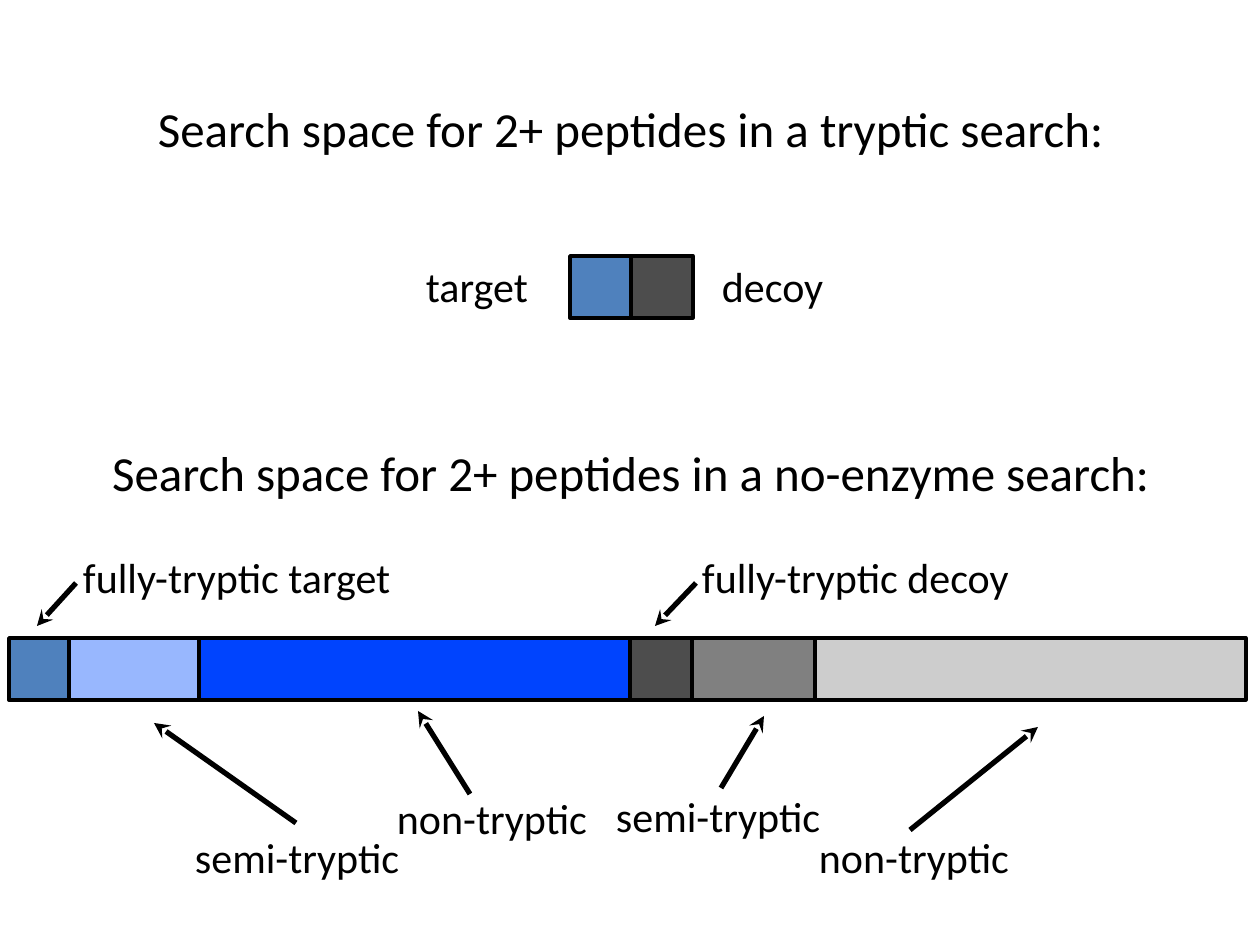
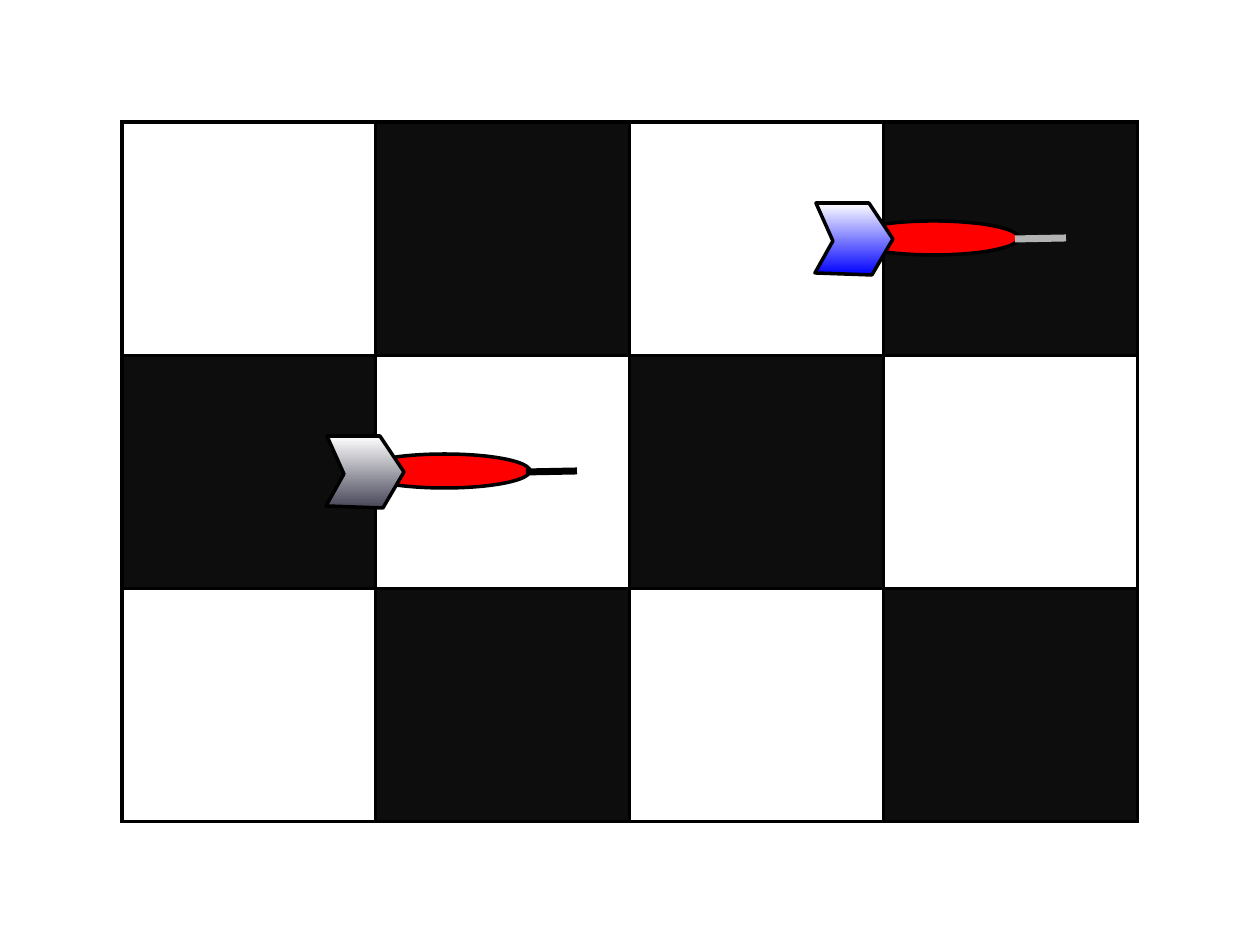
import lxml.etree
import pptx
import pptx.dml.color
import pptx.enum.shapes
import pptx.enum.text
import pptx.oxml
import pptx.oxml.ns
import pptx.util

RGBColor = pptx.dml.color.RGBColor
ANCHOR = pptx.enum.text.MSO_ANCHOR
ALIGN = pptx.enum.text.PP_ALIGN
AUTO_SIZE = pptx.enum.text.MSO_AUTO_SIZE
SHAPE = pptx.enum.shapes.MSO_SHAPE
STRAIGHT = pptx.enum.shapes.MSO_CONNECTOR.STRAIGHT
qn = pptx.oxml.ns.qn

# Shared look
PX = 914400 / 126
SLIDE_SIZE = (1260, 945)
TITLE_ONLY, BLANK = 5, 6
FONT = "Calibri"
HEADING_PT, LABEL_PT = 28, 24
OUTLINE_PT, ARROW_PT, NEEDLE_PT = 2, 3, 4
BLACK = RGBColor(0x00, 0x00, 0x00)
WHITE = RGBColor(0xFF, 0xFF, 0xFF)
STEEL_BLUE = RGBColor(0x4F, 0x81, 0xBD)
PALE_BLUE = RGBColor(0x98, 0xB7, 0xFE)
BRIGHT_BLUE = RGBColor(0x00, 0x44, 0xFE)
DARK_GRAY = RGBColor(0x4D, 0x4D, 0x4D)
MID_GRAY = RGBColor(0x80, 0x80, 0x80)
LIGHT_GRAY = RGBColor(0xCD, 0xCD, 0xCD)
NEEDLE_GRAY = RGBColor(0xB3, 0xB3, 0xB3)
RED = RGBColor(0xFF, 0x00, 0x00)
BLUE = RGBColor(0x00, 0x00, 0xFF)
SLATE = RGBColor(0x46, 0x46, 0x58)

# Slide 1: search spaces
TRYPTIC_HEADING = ("Search space for 2+ peptides in a tryptic search:", 57)
NO_ENZYME_HEADING = ("Search space for 2+ peptides in a no-enzyme search:", 401)
HEADING_LEFT, HEADING_WIDTH, HEADING_HEIGHT = 1, 1259, 141
SEGMENT_HEIGHT, LABEL_HEIGHT = 62, 50
TRYPTIC_TOP, NO_ENZYME_TOP = 256, 638
TRYPTIC_SEGMENTS = [(570, 62, STEEL_BLUE), (631, 62, DARK_GRAY)]
NO_ENZYME_SEGMENTS = [  # left, width, colour; later ones lie on top
    (9, 62, STEEL_BLUE),
    (69, 141, PALE_BLUE),
    (199, 431, BRIGHT_BLUE),
    (815, 431, LIGHT_GRAY),
    (674, 141, MID_GRAY),
    (630, 62, DARK_GRAY),
]
LABELS = [  # text, left, top, width
    ("target", 426, 261, 103),
    ("decoy", 722, 261, 102),
    ("fully-tryptic target", 83, 552, 310),
    ("fully-tryptic decoy", 702, 552, 309),
    ("semi-tryptic", 195, 832, 204),
    ("non-tryptic", 397, 793, 190),
    ("semi-tryptic", 616, 791, 204),
    ("non-tryptic", 819, 832, 190),
]
ARROWS = [  # pointed end, label end
    ((655, 626), (696, 583)),
    ((37, 626), (76, 583)),
    ((154, 723), (296, 823)),
    ((418, 711), (470, 794)),
    ((764, 716), (721, 788)),
    ((1038, 727), (910, 830)),
]

# Slide 2: checkered board with darts
BOARD = (122, 122, 1016, 700)
BOARD_ROWS, BOARD_COLUMNS = 3, 4
BOARD_ALPHA = 95
DARTS = [  # left, top, needle colour, lower flight colour
    (815, 203, NEEDLE_GRAY, BLUE),
    (326, 436, BLACK, SLATE),
]
DART_BODY = (33, 18, 171, 34)
DART_NEEDLE = ((200, 36), (251, 35))
DART_FLIGHT = [(78, 36), (54, 0), (1, 0), (18, 38), (0, 70), (57, 72)]


def emu(*lengths):
    return [pptx.util.Emu(round(length * PX)) for length in lengths]


def apply(target, values):
    for name, value in values.items():
        setattr(target, name, value)


def outline(part, color=BLACK, points=OUTLINE_PT):
    part.line.color.rgb = color
    part.line.width = pptx.util.Pt(points)


def add_filled(shapes, kind, box, color):
    part = shapes.add_shape(kind, *emu(*box))
    part.shadow.inherit = False
    part.fill.solid()
    part.fill.fore_color.rgb = color
    outline(part)


def add_line(shapes, start, end, color, points, arrow=False):
    line = shapes.add_connector(STRAIGHT, *emu(*start, *end))
    outline(line, color, points)
    if arrow:
        head = lxml.etree.SubElement(line.line._get_or_add_ln(), qn("a:headEnd"))
        head.set("type", "stealth")
    lxml.etree.SubElement(line._element.spPr, qn("a:effectLst"))


def write(part, text, box, points, align, wrap):
    apply(part, dict(zip(("left", "top", "width", "height"), emu(*box))))
    frame = part.text_frame
    apply(frame, {
        "text": text, "word_wrap": wrap, "auto_size": AUTO_SIZE.NONE,
        "vertical_anchor": ANCHOR.MIDDLE, "margin_left": 0, "margin_right": 0,
        "margin_top": 0, "margin_bottom": 0,
    })
    paragraph = frame.paragraphs[0]
    paragraph.alignment = align
    font = paragraph.runs[0].font
    apply(font, {"name": FONT, "size": pptx.util.Pt(points)})
    font.color.rgb = BLACK


def write_heading(part, heading):
    text, top = heading
    box = (HEADING_LEFT, top, HEADING_WIDTH, HEADING_HEIGHT)
    write(part, text, box, HEADING_PT, ALIGN.CENTER, True)


def add_search_spaces(deck):
    slide = deck.slides.add_slide(deck.slide_layouts[TITLE_ONLY])
    shapes = slide.shapes
    write_heading(shapes.title, TRYPTIC_HEADING)
    write_heading(shapes.add_textbox(0, 0, 0, 0), NO_ENZYME_HEADING)
    for top, segments in ((TRYPTIC_TOP, TRYPTIC_SEGMENTS),
                          (NO_ENZYME_TOP, NO_ENZYME_SEGMENTS)):
        for left, width, color in segments:
            add_filled(shapes, SHAPE.RECTANGLE,
                       (left, top, width, SEGMENT_HEIGHT), color)
    for text, left, top, width in LABELS:
        write(shapes.add_textbox(0, 0, 0, 0), text,
              (left, top, width, LABEL_HEIGHT), LABEL_PT, ALIGN.LEFT, False)
    for tip, tail in ARROWS:
        add_line(shapes, tip, tail, BLACK, ARROW_PT, arrow=True)


def format_square(cell, color):
    properties = cell._tc.get_or_add_tcPr()
    for side in ("lnL", "lnR", "lnT", "lnB"):
        properties.append(pptx.oxml.parse_xml(
            f'<a:{side} {pptx.oxml.ns.nsdecls("a")} w="{pptx.util.Pt(OUTLINE_PT)}">'
            f'<a:solidFill><a:srgbClr val="{BLACK}"/></a:solidFill></a:{side}>'))
    cell.fill.solid()
    cell.fill.fore_color.rgb = color
    tint = properties.find(qn("a:solidFill")).find(qn("a:srgbClr"))
    lxml.etree.SubElement(tint, qn("a:alpha")).set("val", str(BOARD_ALPHA * 1000))


def add_dart(slide, left, top, needle_color, flight_color):
    dart = slide.shapes.add_group_shape().shapes
    x, y, width, height = DART_BODY
    add_filled(dart, SHAPE.OVAL, (left + x, top + y, width, height), RED)
    start, end = [(left + x, top + y) for x, y in DART_NEEDLE]
    add_line(dart, start, end, needle_color, NEEDLE_PT)
    corners = [(left + x, top + y) for x, y in DART_FLIGHT]
    builder = dart.build_freeform(*corners[0], scale=PX)
    builder.add_line_segments(corners[1:], close=True)
    flight = builder.convert_to_shape()
    flight.shadow.inherit = False
    flight.fill.gradient()
    flight.fill.gradient_angle = 270
    for stop, color in zip(flight.fill.gradient_stops, (WHITE, flight_color)):
        stop.color.rgb = color
    outline(flight)


def add_dart_board(deck):
    slide = deck.slides.add_slide(deck.slide_layouts[BLANK])
    board = slide.shapes.add_table(BOARD_ROWS, BOARD_COLUMNS, *emu(*BOARD)).table
    apply(board, {"first_row": False, "horz_banding": False})
    for row in range(BOARD_ROWS):
        for column in range(BOARD_COLUMNS):
            color = BLACK if (row + column) % 2 else WHITE
            format_square(board.cell(row, column), color)
    for dart in DARTS:
        add_dart(slide, *dart)


def main():
    deck = pptx.Presentation()
    deck.slide_width, deck.slide_height = emu(*SLIDE_SIZE)
    add_search_spaces(deck)
    add_dart_board(deck)
    deck.save("out.pptx")


if __name__ == "__main__":
    main()
